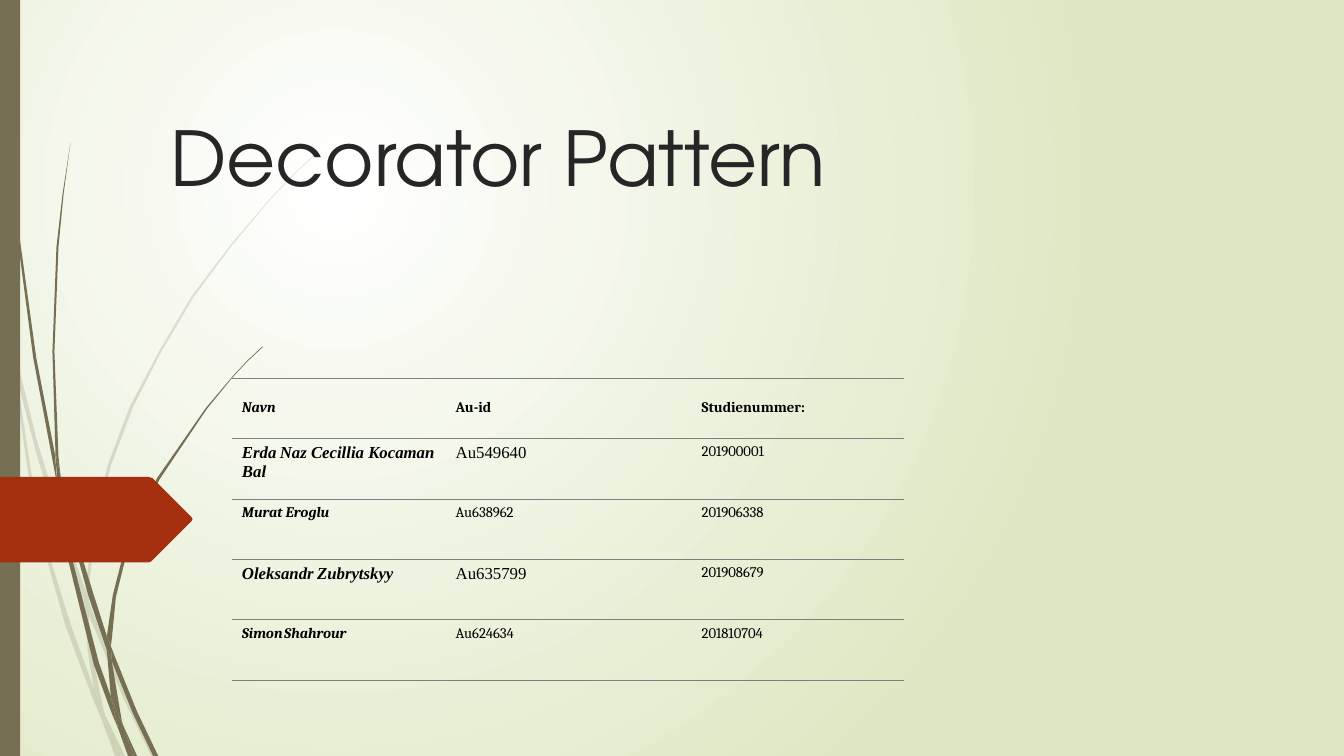
from lxml import etree
from pptx import Presentation
from pptx.dml.color import RGBColor as RGB
from pptx.enum.shapes import MSO_SHAPE as Kind
from pptx.enum.text import MSO_ANCHOR as Anchor, MSO_AUTO_SIZE as Auto, PP_ALIGN as Align
from pptx.oxml import parse_xml as to_xml
from pptx.oxml.ns import nsdecls as decls, qn
from pptx.util import Inches, Pt

# Colours
WHITE = RGB(0xFF, 0xFF, 0xFF)
LIME = RGB(0xDF, 0xE8, 0xC4)
OLIVE = RGB(0x76, 0x6F, 0x54)
RUST = RGB(0xA5, 0x30, 0x10)
INK = RGB(0x26, 0x26, 0x26)
BLACK = RGB(0, 0, 0)
GREY = RGB(0x7F, 0x7F, 0x7F)

# Grass blades: outline points in inches, "x,y"
PALE = [
    "0.11,3.5 0.09,3.22 0,2.82 0,2.99 0.1,3.44",
    "0.58,5.22 0.84,5.99 0.85,5.86 0.62,5.2 0.36,4.35 0.14,3.45 0.17,3.76 0.36,4.5",
    "0.92,6.07 0.88,5.96 0.88,6.1 1.23,6.94 1.5,7.5 1.55,7.5 1.27,6.92",
    "1.19,7.5 1.24,7.5 1.05,7.11",
    "0.93,6.83 0.7,6.19 0.47,5.45 0.31,4.69 0.17,3.76 0.11,3.5 0.28,4.7 0.44,5.46 "
    "0.65,6.21 0.92,6.93 1.01,7.14 0.99,7.07",
    "0.84,5.99 0.87,6.46 0.93,6.83 0.96,6.92 1.05,7.11 1.03,7.06 0.91,6.46 0.88,6.1 "
    "0.88,6.08",
    "0.88,5.84 0.95,5.22 1.1,4.62 1.32,4.04 1.6,3.49 1.92,2.95 2.29,2.45 2.68,1.98 "
    "2.9,1.75 3.12,1.54 3.12,1.53 2.89,1.75 2.68,1.97 2.28,2.44 1.9,2.94 1.58,3.48 "
    "1.29,4.03 1.07,4.61 0.92,5.22 0.85,5.84 0.85,5.86 0.88,5.96",
    "1.01,7.14 1.14,7.5 1.19,7.5",
    "0.88,6.08 0.88,6.1 0.88,5.96 0.85,5.86 0.84,5.99",
    "0.96,6.92 0.93,6.83 0.99,7.07 1.01,7.14 1.19,7.5 1.05,7.11",
]
DARK = [
    "0.07,1.1 0.17,2.33 0.33,3.55 0.56,4.77 0.57,4.81 0.55,4.57 0.55,4.53 0.36,3.55 "
    "0.19,2.32 0.08,1.09 0.05,0.48 0.04,0 0.03,0 0.04,0.48",
    "0.88,5.92 1.06,6.45 1.06,6.33 1.06,6.31 0.93,5.9 0.75,5.32 0.6,4.72 0.64,5.05",
    "1.13,6.49 1.1,6.41 1.11,6.56 1.32,7.08 1.52,7.5 1.57,7.5 1.36,7.06",
    "1.1,6.91 0.98,6.57 0.72,5.56 0.64,5.05 0.57,4.77 0.68,5.57 0.93,6.59 1.11,7.08 "
    "1.17,7.22 1.16,7.17",
    "0.6,4.72 0.58,4.53 0.54,3.49 0.58,2.45 0.63,1.93 0.7,1.41 0.62,1.93 0.56,2.45 "
    "0.52,3.49 0.55,4.49",
    "1.33,7.5 1.36,7.5 1.22,7.19",
    "0.57,4.77 0.64,5.05 0.6,4.72 0.55,4.49 0.55,4.53",
    "1.11,6.33 1.15,5.92 1.25,5.52 1.4,5.13 1.58,4.76 2.05,4.06 2.31,3.74 2.45,3.59 "
    "2.61,3.44 2.6,3.44 2.45,3.58 2.31,3.73 2.04,4.05 1.56,4.74 1.37,5.12 1.22,5.51 "
    "1.12,5.9 1.06,6.31 1.1,6.41",
    "1.17,7.22 1.27,7.5 1.31,7.5",
    "1.06,6.45 1.1,6.91 1.16,7.06 1.22,7.19 1.21,7.16 1.11,6.56 1.09,6.51",
    "1.06,6.45 1.09,6.51 1.11,6.56 1.1,6.41 1.06,6.31 1.06,6.33",
    "1.16,7.06 1.1,6.91 1.16,7.17 1.17,7.22 1.3,7.5 1.33,7.5 1.22,7.19",
]
ARROW = ("0,4.73 1.47,4.73 1.5,4.74 1.51,4.74 1.9,5.13 1.91,5.15 1.9,5.17 "
         "1.51,5.56 1.5,5.57 1.47,5.58 0,5.58")

# Students
HEADS = ["Navn", "Au-id", "Studienummer:"]
TEAM = [
    ["Erda\u202fNaz Cecillia Kocaman Bal", "Au549640", "201900001"],
    ["Murat Eroglu", "Au638962", "201906338"],
    ["Oleksandr\u202fZubrytskyy", "Au635799", "201908679"],
    ["Simon\u202fShahrour", "Au624634", "201810704"],
]
WIDTHS = [2.12, 2.44, 2.11]
HIGH = 0.6

SMALL = {"name": "Cambria", "size": Pt(10.5)}
LARGE = {"name": "Times New Roman", "size": Pt(12)}
HEAD = {"name": "TeX Gyre Adventor", "size": Pt(54)}


def apply(item, vals):
    for key, val in vals.items():
        setattr(item, key, val)


class Deck:
    def __init__(self):
        self.prs = Presentation()
        apply(self.prs, {"slide_width": Inches(13.33), "slide_height": Inches(7.5)})
        self.slide = self.prs.slides.add_slide(self.prs.slide_layouts[5])
        self.shapes = self.slide.shapes

    def glow(self, inner, outer):
        fill = self.slide.background.fill
        fill.gradient()
        for stop, tone, pos in zip(fill.gradient_stops, (inner, outer), (0, 1)):
            stop.color.rgb = tone
            stop.position = pos
        line = self.slide.element.find(".//" + qn("a:lin"))
        ring = to_xml(f'<a:path {decls("a")} path="circle"><a:fillToRect l="50000" '
                      't="50000" r="100000" b="100000"/></a:path>')
        line.getparent().replace(line, ring)

    def paint(self, shape, tone, alpha=None):
        shape.shadow.inherit = False
        shape.fill.solid()
        shape.fill.fore_color.rgb = tone
        shape.line.fill.background()
        if alpha:
            node = shape.element.spPr.find(".//" + qn("a:srgbClr"))
            etree.SubElement(node, qn("a:alpha"), val=str(alpha * 1000))

    def bar(self, x, y, w, h, tone):
        box = [Inches(n) for n in (x, y, w, h)]
        self.paint(self.shapes.add_shape(Kind.RECTANGLE, *box), tone)

    def patch(self, text, tone, alpha=None):
        first, *rest = [tuple(Inches(float(n)) for n in pair.split(","))
                        for pair in text.split()]
        pen = self.shapes.build_freeform(*first)
        pen.add_line_segments(rest, close=True)
        self.paint(pen.convert_to_shape(), tone, alpha)

    def label(self, frame, text, tone, vals):
        frame.text = text
        para = frame.paragraphs[0]
        para.alignment = Align.LEFT
        font = para.runs[0].font
        apply(font, vals)
        font.color.rgb = tone

    def title(self, text, x, y, w, h):
        head = self.shapes.title
        apply(head, {"left": Inches(x), "top": Inches(y),
                     "width": Inches(w), "height": Inches(h)})
        frame = head.text_frame
        apply(frame, {"auto_size": Auto.NONE, "word_wrap": True,
                      "vertical_anchor": Anchor.BOTTOM})
        self.label(frame, text, INK, HEAD)
        # Bring the title in front of the grass
        head.element.getparent().append(head.element)

    def rule(self, cell):
        props = cell._tc.get_or_add_tcPr()
        for at, tag in enumerate(("lnL", "lnR", "lnT", "lnB")):
            ink = "<a:noFill/>"
            if tag in ("lnT", "lnB"):
                ink = f'<a:solidFill><a:srgbClr val="{GREY}"/></a:solidFill>'
            props.insert(at, to_xml(f'<a:{tag} {decls("a")} w="{Pt(0.75)}">{ink}</a:{tag}>'))

    def table(self, x, y, widths, high, rows):
        grid = self.shapes.add_table(len(rows), len(widths), Inches(x), Inches(y),
                                     Inches(sum(widths)), Inches(high * len(rows))).table
        apply(grid, {"first_row": False, "horz_banding": False})
        for col, wide in zip(grid.columns, widths):
            col.width = Inches(wide)
        for r, row in enumerate(rows):
            grid.rows[r].height = Inches(high)
            for c, text in enumerate(row):
                cell = grid.cell(r, c)
                cell.fill.background()
                apply(cell, {"margin_right": Inches(0.05),
                             "vertical_anchor": Anchor.TOP if r else Anchor.MIDDLE})
                base = LARGE if r % 2 and c < 2 else SMALL
                look = {**base, "bold": r == 0 or c == 0, "italic": c == 0}
                self.label(cell.text_frame, text, BLACK, look)
                self.rule(cell)


deck = Deck()
deck.glow(WHITE, LIME)

# Grass, side bar and arrow
for blade in PALE:
    deck.patch(blade, OLIVE, 20)
for blade in DARK:
    deck.patch(blade, OLIVE)
deck.bar(0, 0, 0.2, 7.5, OLIVE)
deck.patch(ARROW, RUST)

# Title and students
deck.title("Decorator Pattern", 1.59, 0.88, 10, 1.17)
deck.table(2.3, 3.75, WIDTHS, HIGH, [HEADS] + TEAM)

deck.prs.save("out.pptx")
